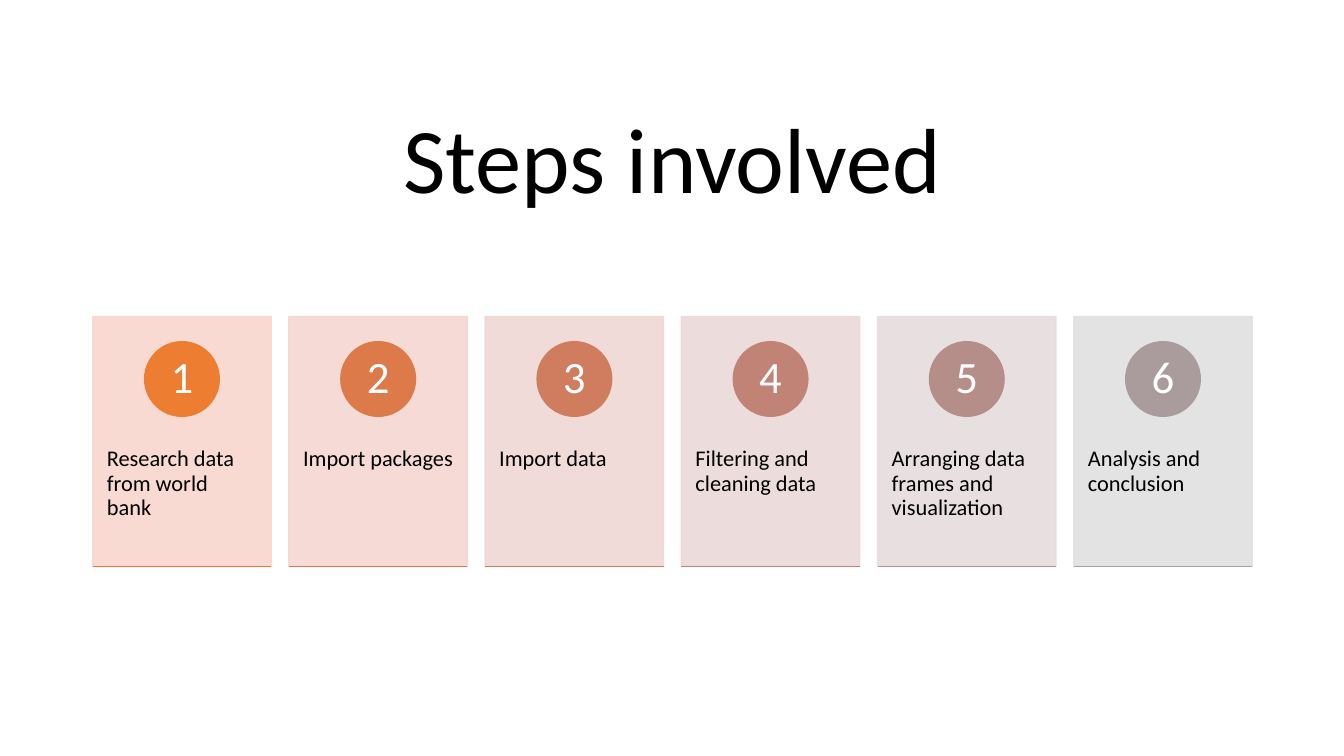
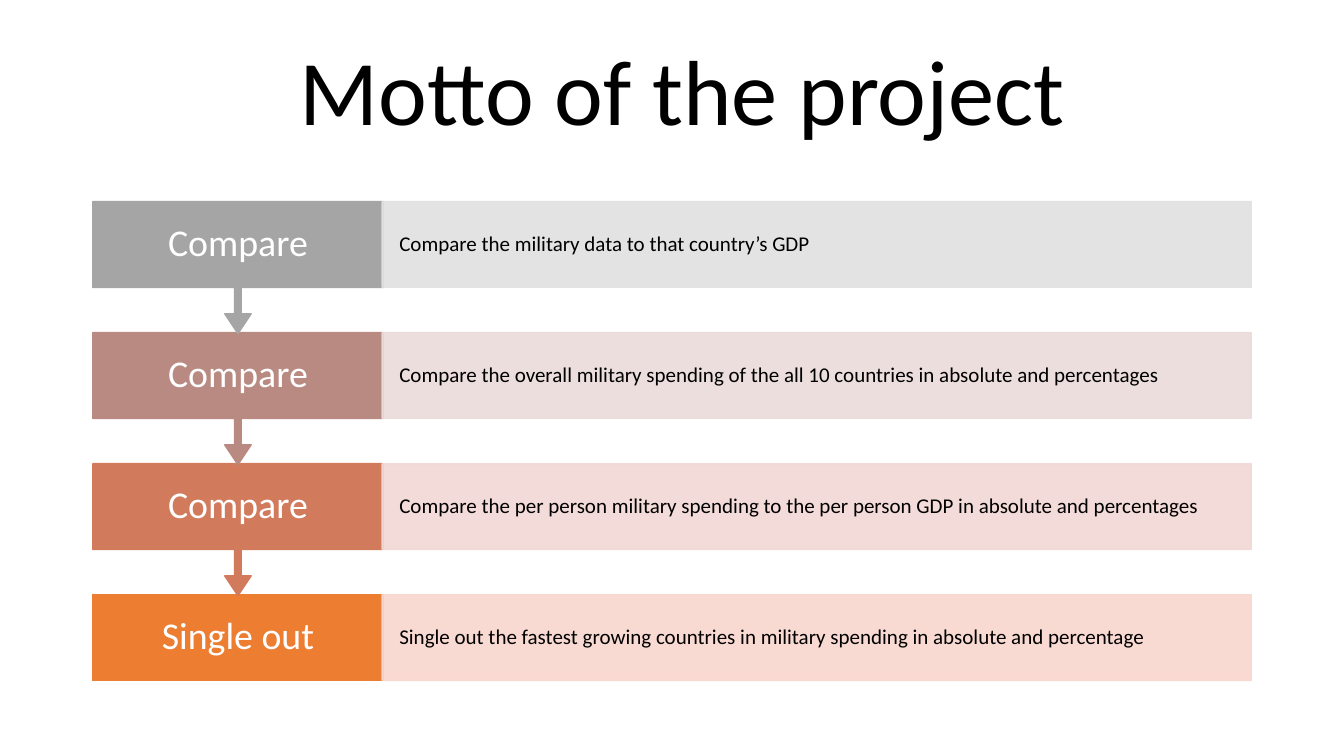
"""Build two process slides: numbered step cards and a flow of goals."""
from dataclasses import dataclass

from lxml import etree
from pptx import Presentation
from pptx.dml.color import RGBColor
from pptx.enum.shapes import MSO_CONNECTOR, MSO_SHAPE
from pptx.enum.text import MSO_ANCHOR, MSO_AUTO_SIZE, PP_ALIGN
from pptx.oxml.ns import qn
from pptx.util import Inches, Pt

RECTANGLE, OVAL = MSO_SHAPE.RECTANGLE, MSO_SHAPE.OVAL
ARROW_CALLOUT = MSO_SHAPE.DOWN_ARROW_CALLOUT
STRAIGHT = MSO_CONNECTOR.STRAIGHT
TOP, MIDDLE = MSO_ANCHOR.TOP, MSO_ANCHOR.MIDDLE
LEFT, CENTER = PP_ALIGN.LEFT, PP_ALIGN.CENTER
NO_AUTOFIT = MSO_AUTO_SIZE.NONE
TITLE_ONLY = 5


@dataclass(frozen=True)
class Theme:
    font: str = "Calibri"
    dark: str = "000000"
    light: str = "FFFFFF"
    title_size: int = 66
    number_size: int = 32
    goal_size: int = 27
    step_size: int = 16
    detail_size: int = 15
    tint_opacity: int = 90
    outline: int = 1
    line_spacing: float = 0.9
    card_tints: tuple = ("F8D7CE", "F4D7D1", "EFD8D5", "EADAD9", "E6DDDD", "E1E1E1")
    badges: tuple = ("ED7D31", "DD7A49", "CF7C5F", "C18375", "B58E89", "AA9C9C")
    rules: tuple = ("E57B3D", "D67A54", "C87F6A", "BB887F", "AF9593", "A5A5A5")
    goals: tuple = ("A5A5A5", "B98A82", "D17B5C", "ED7D31")
    goal_tints: tuple = ("E1E1E1", "E9DBDA", "F1D8D4", "F8D7CE")


THEME = Theme()
MARGIN = 0.92
STEPS = (
    "Research data from world bank",
    "Import packages",
    "Import data",
    "Filtering and cleaning data",
    "Arranging data frames and visualization",
    "Analysis and conclusion",
)
GOALS = (
    ("Compare", "Compare the military data to that country’s GDP"),
    ("Compare", "Compare the overall military spending of the all 10 countries in absolute and percentages"),
    ("Compare", "Compare the per person military spending to the per person GDP in absolute and percentages"),
    ("Single out", "Single out the fastest growing countries in military spending in absolute and percentage"),
)


def write_text(shape, text, *, size, color=THEME.dark, align=LEFT, anchor=MIDDLE,
               insets=(0.1, 0.05, 0.1, 0.05)):
    frame = shape.text_frame
    frame.word_wrap = True
    frame.auto_size = NO_AUTOFIT
    frame.vertical_anchor = anchor
    (frame.margin_left, frame.margin_top,
     frame.margin_right, frame.margin_bottom) = map(Inches, insets)
    para = frame.paragraphs[0]
    para.alignment = align
    para.line_spacing = THEME.line_spacing
    span = para.add_run()
    span.text = text
    span.font.name = THEME.font
    span.font.size = Pt(size)
    span.font.color.rgb = RGBColor.from_string(color)


class SlideBuilder:
    def __init__(self, deck, theme):
        self.deck = deck
        self.theme = theme
        self.page = None

    def start_page(self, title, left, top):
        self.page = self.deck.slides.add_slide(self.deck.slide_layouts[TITLE_ONLY])
        box = self.page.shapes.title
        box.left, box.top = Inches(left), Inches(top)
        box.width, box.height = Inches(11.5), Inches(1.45)
        write_text(box, title, size=self.theme.title_size, align=CENTER)

    def block(self, kind, left, top, width, height, color, opacity=100):
        shape = self.page.shapes.add_shape(
            kind, Inches(left), Inches(top), Inches(width), Inches(height))
        shape.shadow.inherit = False
        shape.fill.solid()
        shape.fill.fore_color.rgb = RGBColor.from_string(color)
        shape.line.color.rgb = RGBColor.from_string(color)
        shape.line.width = Pt(self.theme.outline)
        if opacity < 100:
            for tone in shape.element.spPr.iter(qn("a:srgbClr")):
                etree.SubElement(tone, qn("a:alpha")).set("val", str(opacity * 1000))
        return shape

    def rule(self, left, top, width, color):
        line = self.page.shapes.add_connector(
            STRAIGHT, Inches(left), Inches(top), Inches(left + width), Inches(top))
        line.line.color.rgb = RGBColor.from_string(color)
        line.line.width = Pt(self.theme.outline)
        etree.SubElement(line.element.spPr, qn("a:effectLst"))

    def step_card(self, index, text):
        theme = self.theme
        width, top, height, badge = 1.77, 3.14, 2.48, 0.74
        left = MARGIN + index * 1.946
        card = self.block(RECTANGLE, left, top, width, height,
                          theme.card_tints[index], theme.tint_opacity)
        write_text(card, text, size=theme.step_size, anchor=TOP,
                   insets=(0.14, 1.3, 0.14, 0.36))
        circle = self.block(OVAL, left + (width - badge) / 2, top + 0.25,
                            badge, badge, theme.badges[index])
        write_text(circle, str(index + 1), size=theme.number_size, color=theme.light,
                   align=CENTER, insets=(0.06, 0.01, 0.06, 0.01))
        self.rule(left, top + height, width, theme.rules[index])

    def goal_row(self, index, goal, detail, is_last):
        theme = self.theme
        top, height, goal_width = 2 + index * 1.3, 0.85, 2.88
        color = theme.goals[index]
        if is_last:
            label = self.block(RECTANGLE, MARGIN, top, goal_width, height, color)
        else:
            label = self.block(ARROW_CALLOUT, MARGIN, top, goal_width, 1.31, color)
            for position, ratio in enumerate((0.05, 0.1, 0.15, 0.65)):
                label.adjustments[position] = ratio
        write_text(label, goal, size=theme.goal_size, color=theme.light,
                   align=CENTER, insets=(0.2, 0.21, 0.2, 0.21))
        panel = self.block(RECTANGLE, 3.79, top, 8.62, height,
                           theme.goal_tints[index], theme.tint_opacity)
        write_text(panel, detail, size=theme.detail_size,
                   insets=(0.17, 0.21, 0.17, 0.21))


def main():
    deck = Presentation()
    deck.slide_width, deck.slide_height = Inches(13.33), Inches(7.5)
    builder = SlideBuilder(deck, THEME)

    builder.start_page("Steps involved", MARGIN, 0.9)
    for index, text in enumerate(STEPS):
        builder.step_card(index, text)

    builder.start_page("Motto of the project", 1.02, 0.22)
    last = len(GOALS) - 1
    for index in range(last, -1, -1):
        builder.goal_row(index, *GOALS[index], is_last=index == last)

    deck.save("out.pptx")


if __name__ == "__main__":
    main()
